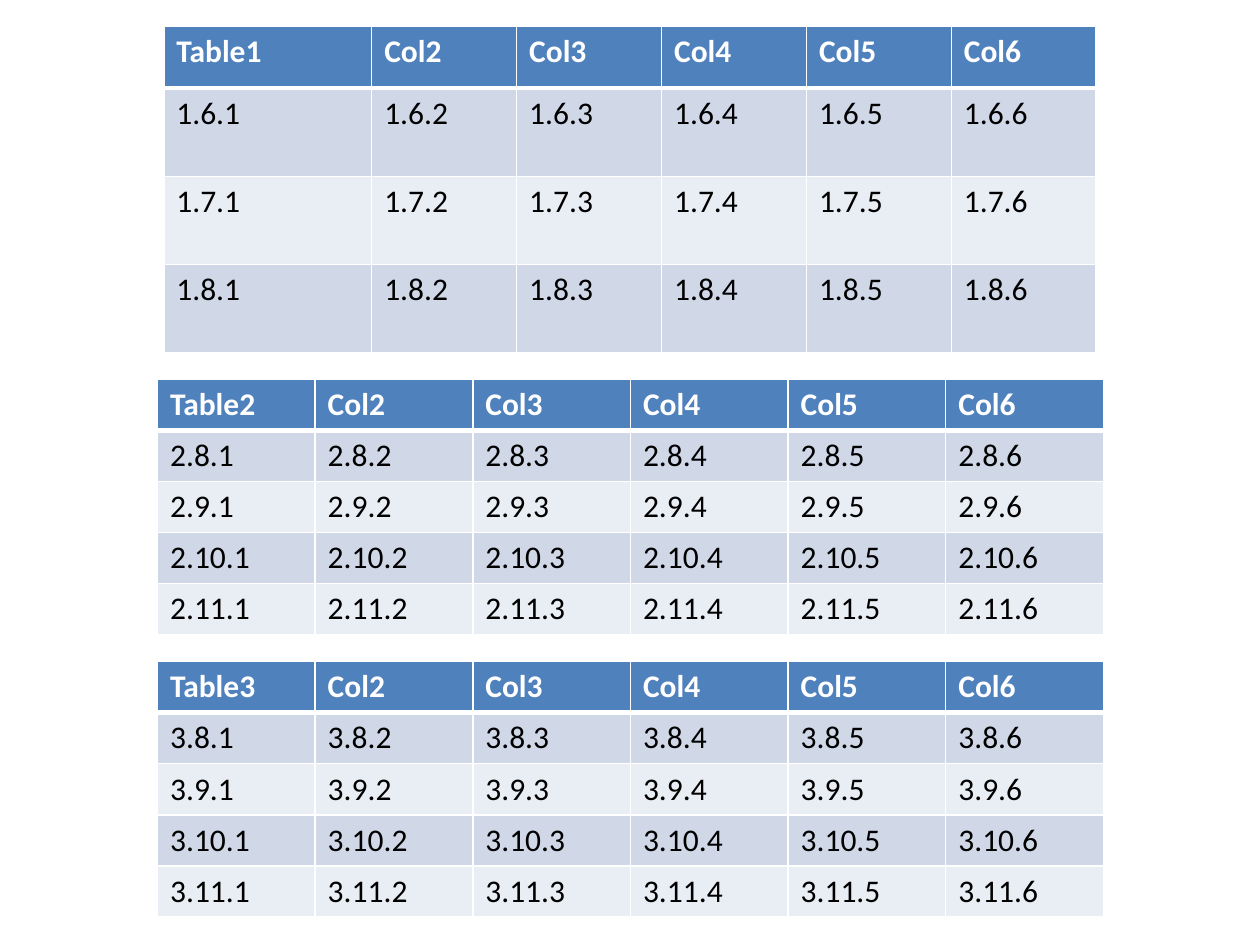
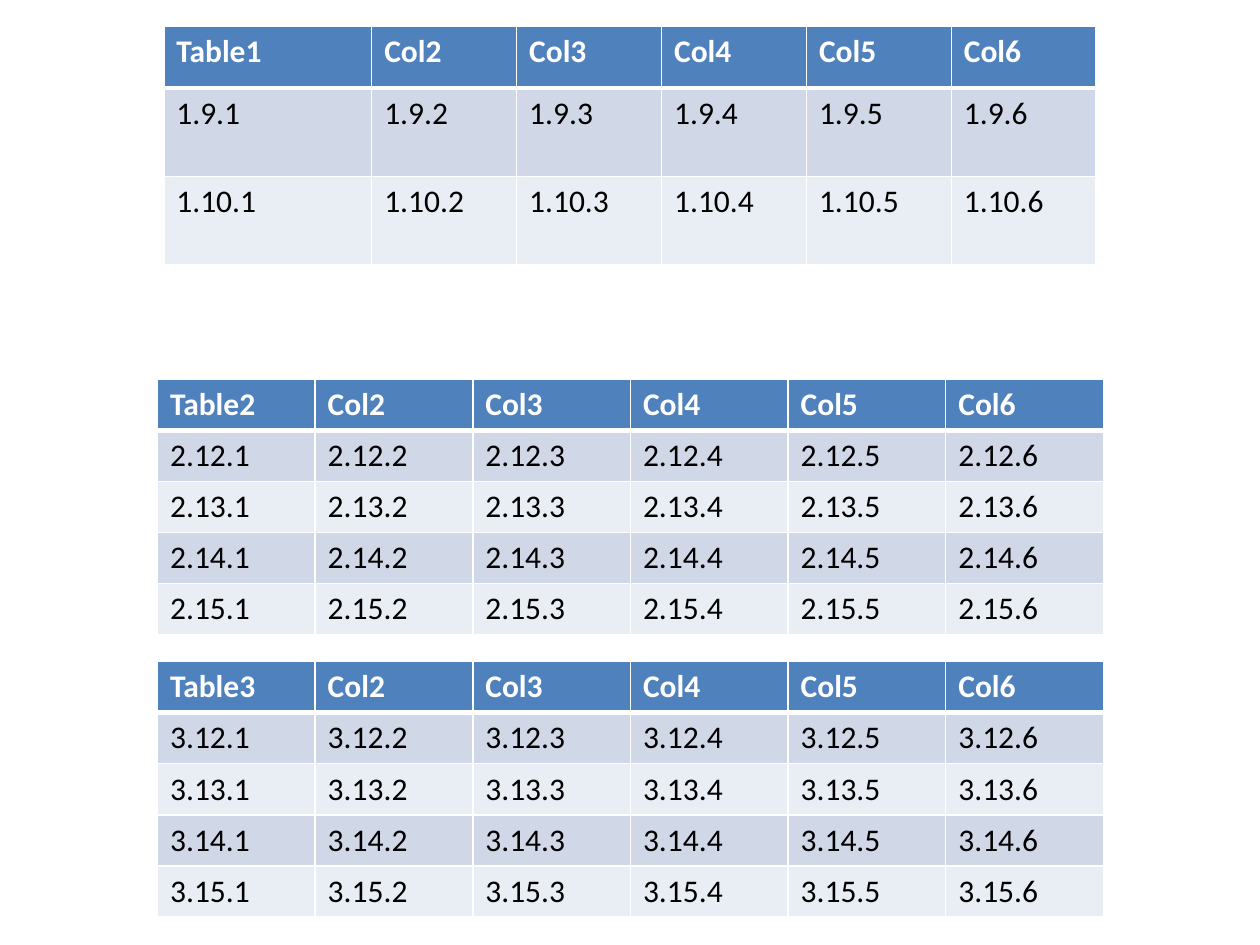
from lxml import etree
from pptx import Presentation
from pptx import util as u
from pptx.dml import color as dml
from pptx.oxml import ns

# Shared style
FONT, FONT_SIZE = "Calibri", 18
HEADER_FILL, BAND_FILLS = "4F81BD", ("D0D8E8", "E9EDF4")
WHITE, BLACK = "FFFFFF", "000000"
THIN, THICK = 1, 3
COLUMN_COUNT = 6

# Table layout, in points: position, frame height, columns and row heights
WIDE_FIRST = [118.8] + [82.8] * (COLUMN_COUNT - 1)
EQUAL = [90.1] * COLUMN_COUNT
TABLES = [
    dict(left=93.6, top=15.12, height=187.2, columns=WIDE_FIRST, header=35.28, row=50.4),
    dict(left=90, top=216.72, height=145.44, columns=EQUAL, header=18, row=29.2),
    dict(left=90, top=378, height=145.44, columns=EQUAL, header=18, row=29.2),
]

# Record numbers that each slide shows in tables 1, 2 and 3
SLIDES = [
    [range(6, 9), range(8, 12), range(8, 12)],
    [range(9, 11), range(12, 16), range(12, 16)],
]


def rgb(hex_colour):
    return dml.RGBColor.from_string(hex_colour)


def write_cell(cell, content, fill, colour, bold, borders):
    # Cell borders come before the fill in the XML
    properties = cell._tc.get_or_add_tcPr()
    for side, width in borders.items():
        line = etree.SubElement(properties, ns.qn(f"a:ln{side}"), w=str(u.Pt(width)))
        solid = etree.SubElement(line, ns.qn("a:solidFill"))
        etree.SubElement(solid, ns.qn("a:srgbClr"), val=WHITE)
    cell.fill.solid()
    cell.fill.fore_color.rgb = rgb(fill)
    run = cell.text_frame.paragraphs[0].add_run()
    run.text = content
    run.font.name, run.font.size, run.font.bold = FONT, u.Pt(FONT_SIZE), bold
    run.font.color.rgb = rgb(colour)


presentation = Presentation()
presentation.slide_width, presentation.slide_height = u.Pt(720), u.Pt(540)

for slide_records in SLIDES:
    slide = presentation.slides.add_slide(presentation.slide_layouts[6])

    for number, (layout, records) in enumerate(zip(TABLES, slide_records), start=1):
        shape = slide.shapes.add_table(
            len(records) + 1, COLUMN_COUNT, u.Pt(layout["left"]), u.Pt(layout["top"]),
            u.Pt(sum(layout["columns"])), u.Pt(layout["height"]))
        table = shape.table
        for column, width in zip(table.columns, layout["columns"]):
            column.width = u.Pt(width)
        row_heights = [layout["header"]] + [layout["row"]] * len(records)
        for row, height in zip(table.rows, row_heights):
            row.height = u.Pt(height)
        shape.height = u.Pt(layout["height"])

        # Header row
        titles = [f"Table{number}"] + [f"Col{i}" for i in range(2, COLUMN_COUNT + 1)]
        for i, title in enumerate(titles):
            write_cell(table.cell(0, i), title, fill=HEADER_FILL, colour=WHITE, bold=True,
                       borders=dict(L=THIN, R=THIN, T=THIN, B=THICK))

        # Banded records, numbered table.record.column
        for row_index, record in enumerate(records, start=1):
            top = THICK if row_index == 1 else THIN
            for i in range(COLUMN_COUNT):
                write_cell(table.cell(row_index, i), f"{number}.{record}.{i + 1}",
                           fill=BAND_FILLS[(row_index - 1) % 2], colour=BLACK, bold=False,
                           borders=dict(L=THIN, R=THIN, T=top, B=THIN))

presentation.save("out.pptx")
